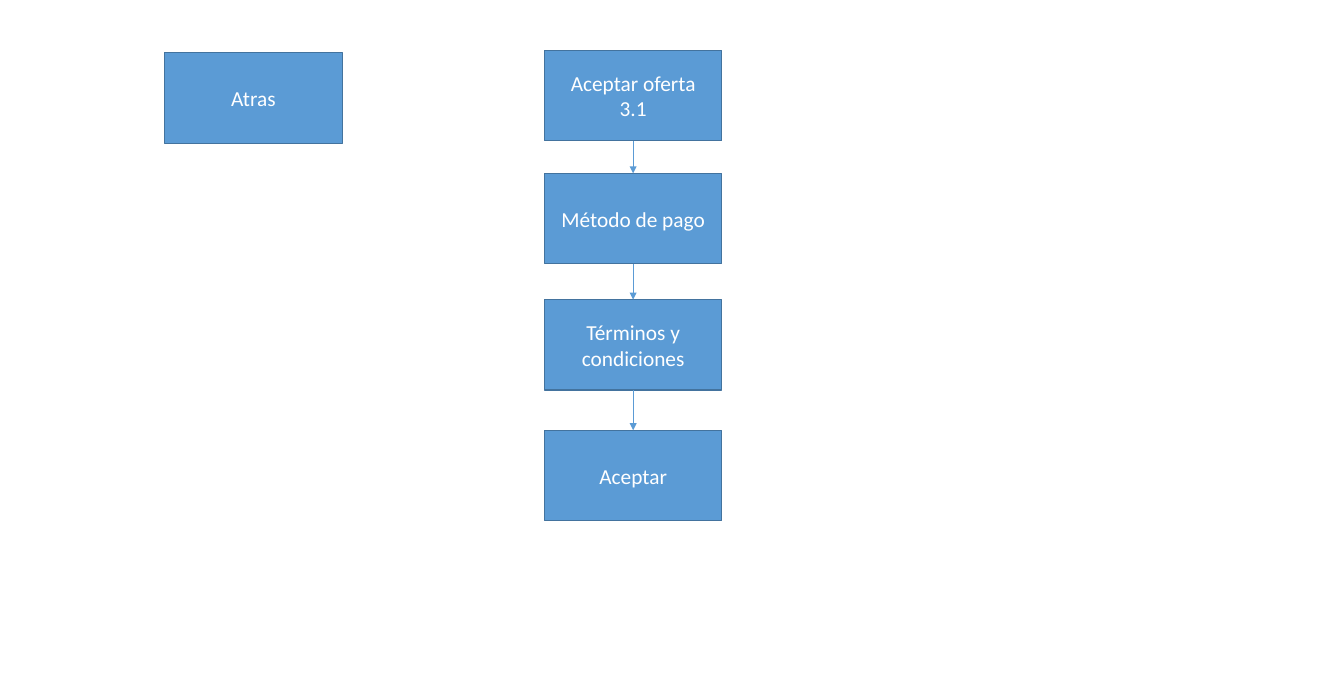
from itertools import pairwise
from lxml.etree import SubElement
from pptx import Presentation
from pptx.dml.color import RGBColor
from pptx.enum.shapes import MSO_CONNECTOR, MSO_SHAPE
from pptx.enum.text import MSO_ANCHOR, PP_ALIGN
from pptx.oxml.ns import qn
from pptx.util import Inches, Pt

STEPS = [
    (0.59, ["Aceptar oferta", "3.1"]),
    (2.03, ["Método de pago"]),
    (3.51, ["Términos y condiciones"]),
    (5.04, ["Aceptar"]),
]
BACK = (1.93, 0.62, ["Atras"])
LEFT, WIDTH, HEIGHT = 6.38, 2.08, 1.06
COLORS = {"fill": "5B9BD5", "edge": "43739E", "text": "FFFFFF"}


def color(name):
    """Return the named colour."""
    return RGBColor.from_string(COLORS[name])


def add_box(slide, left, top, lines):
    """Draw a box with one centred paragraph per line."""
    box = slide.shapes.add_shape(
        MSO_SHAPE.RECTANGLE, Inches(left), Inches(top), Inches(WIDTH), Inches(HEIGHT)
    )
    box.shadow.inherit = False
    box.fill.solid()
    box.fill.fore_color.rgb = color("fill")
    box.line.color.rgb = color("edge")
    box.line.width = Pt(1)
    frame = box.text_frame
    frame.word_wrap = True
    frame.vertical_anchor = MSO_ANCHOR.MIDDLE
    for i, line in enumerate(lines):
        para = frame.add_paragraph() if i else frame.paragraphs[0]
        para.alignment = PP_ALIGN.CENTER
        run = para.add_run()
        run.text = line
        run.font.name = "Calibri"
        run.font.size = Pt(18)
        run.font.color.rgb = color("text")
    return box


def add_arrow(slide, upper, lower):
    """Join the bottom of one box to the top of the next."""
    arrow = slide.shapes.add_connector(MSO_CONNECTOR.STRAIGHT, 0, 0, 0, 0)
    arrow.begin_connect(upper, 2)
    arrow.end_connect(lower, 0)
    arrow.line.color.rgb = color("fill")
    arrow.line.width = Pt(0.5)
    SubElement(arrow.line._get_or_add_ln(), qn("a:tailEnd"), type="triangle")
    SubElement(arrow._element.spPr, qn("a:effectLst"))


def main():
    """Build and save the flow slide."""
    deck = Presentation()
    deck.slide_width, deck.slide_height = Inches(15.75), Inches(8.07)
    slide = deck.slides.add_slide(deck.slide_layouts[6])
    boxes = [add_box(slide, LEFT, top, lines) for top, lines in STEPS]
    for upper, lower in pairwise(boxes):
        add_arrow(slide, upper, lower)
    add_box(slide, *BACK)
    deck.save("out.pptx")


if __name__ == "__main__":
    main()
